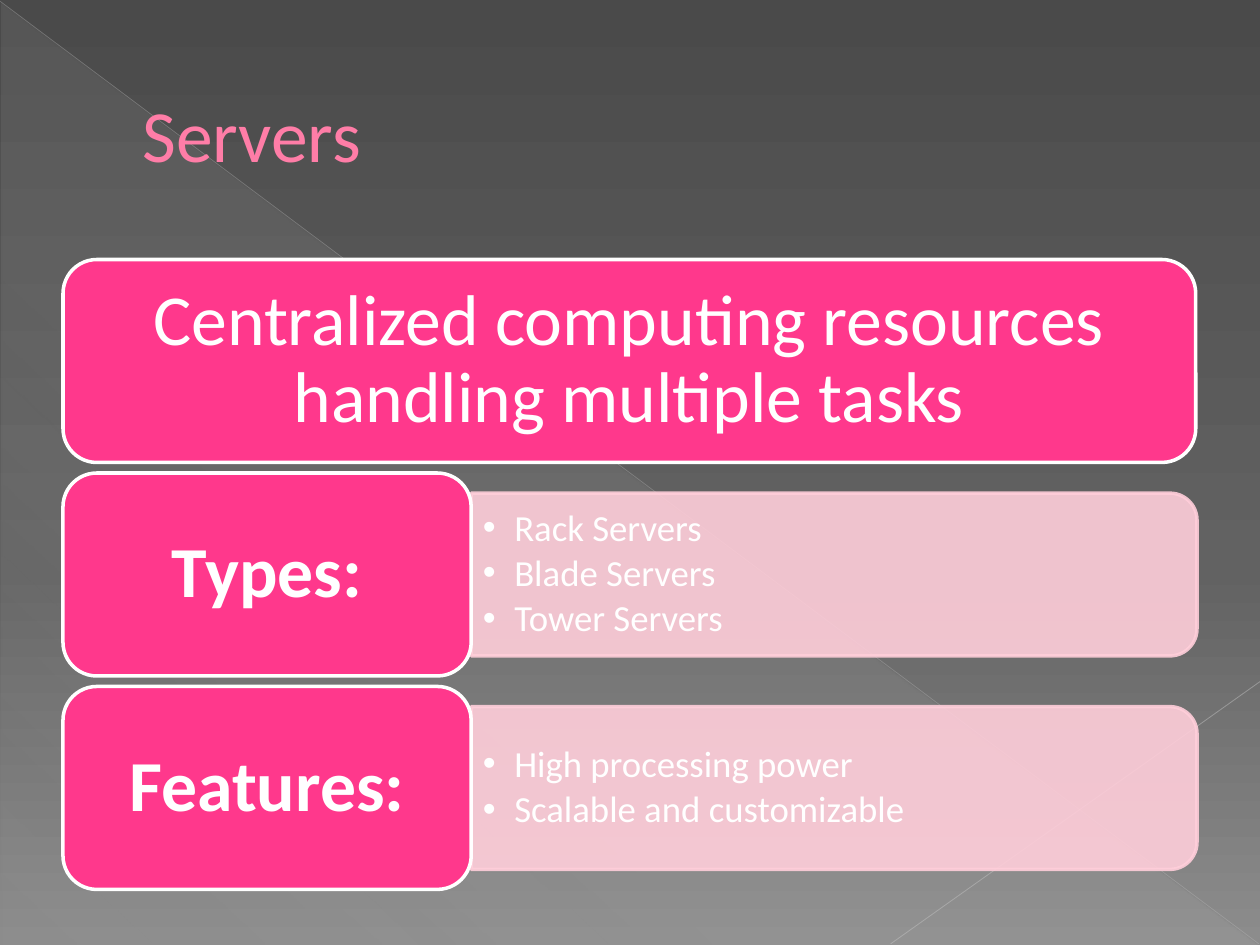
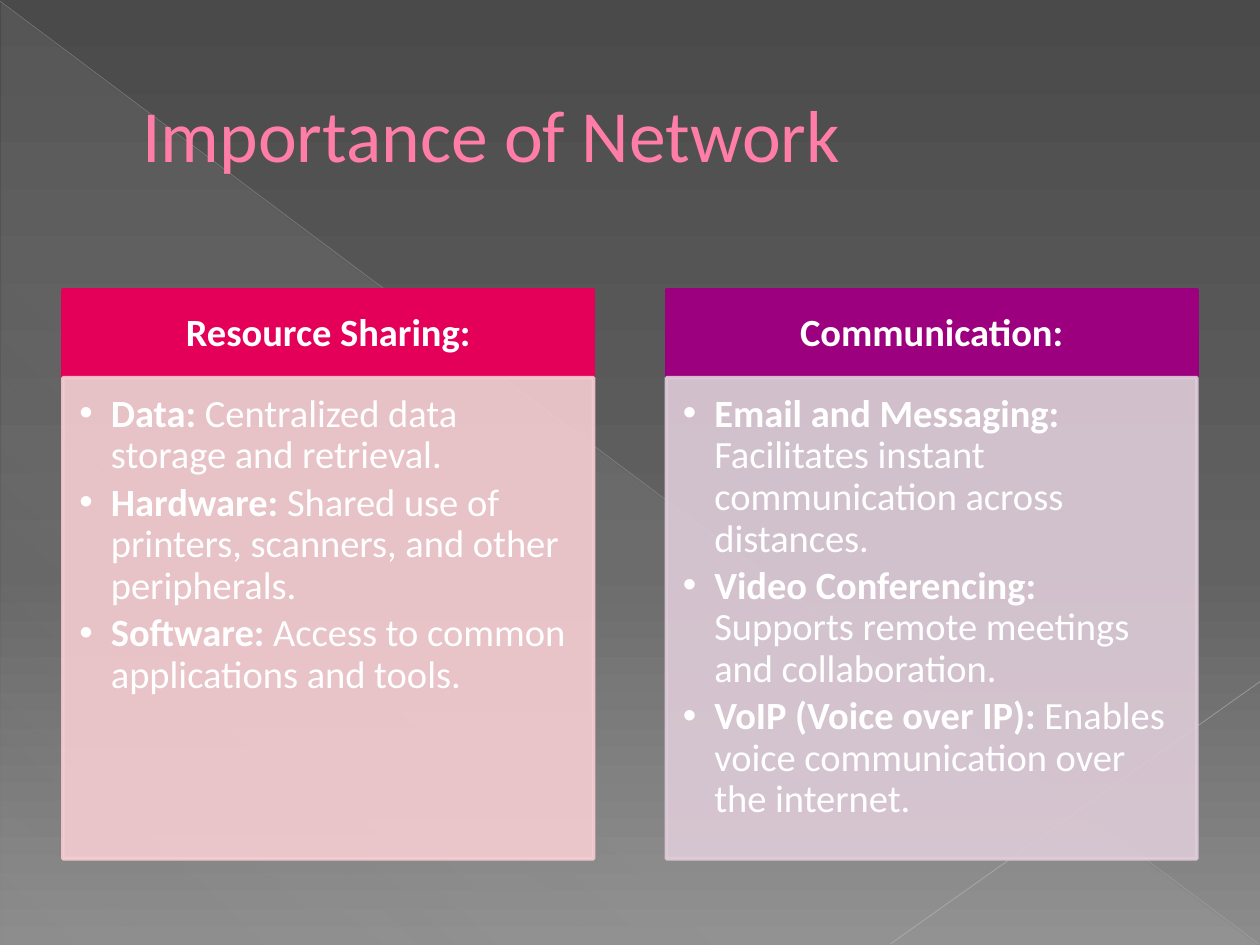
from dataclasses import dataclass

from lxml import etree
from pptx import Presentation
from pptx.dml.color import RGBColor
from pptx.enum.shapes import MSO_CONNECTOR, MSO_SHAPE
from pptx.enum.text import MSO_ANCHOR, PP_ALIGN
from pptx.oxml.ns import qn
from pptx.util import Pt

RECT, PILL = MSO_SHAPE.RECTANGLE, MSO_SHAPE.ROUNDED_RECTANGLE
TAB, WEDGE = MSO_SHAPE.ROUND_2_SAME_RECTANGLE, MSO_SHAPE.RIGHT_TRIANGLE
LINE = MSO_CONNECTOR.STRAIGHT
TOP, MIDDLE = MSO_ANCHOR.TOP, MSO_ANCHOR.MIDDLE
LEFT, CENTER = PP_ALIGN.LEFT, PP_ALIGN.CENTER

SERVERS = {
    "title": "Servers",
    "lead": "Centralized computing resources handling multiple tasks",
    "rows": [
        ("Types:", ["Rack Servers", "Blade Servers", "Tower Servers"]),
        ("Features:", ["High processing power", "Scalable and customizable"]),
    ],
}
NETWORK = {
    "title": "Importance of Network",
    "cols": [
        ("Resource Sharing:", "E40059", "F5CCD1", [
            ("Data:", " Centralized data storage and retrieval."),
            ("Hardware:", " Shared use of printers, scanners, and other peripherals."),
            ("Software:", " Access to common applications and tools."),
        ]),
        ("Communication:", "9C007F", "DECCD8", [
            ("Email and Messaging:", " Facilitates instant communication across distances."),
            ("Video Conferencing:", " Supports remote meetings and collaboration."),
            ("VoIP (Voice over IP):", " Enables voice communication over the internet."),
        ]),
    ],
}


@dataclass(frozen=True)
class Theme:
    font: str = "Calibri"
    title: str = "FF7DA7"
    edge: str = "B12761"
    text: str = "FFFFFF"
    pink: str = "FF388C"
    pale: str = "FFCEDA"
    # Gradient stops: position, colour, opacity (all but colour in percent)
    back: tuple = ((0, "4A4A4A", 100), (60, "626262", 100), (100, "8C8C8C", 100))
    sheen: tuple = ((0, "D2D2D2", 10), (70, "D2D2D2", 8), (100, "D2D2D2", 1))
    # Start, end, colour, width, opacity
    rays: tuple = (
        ((0, 0.7), (719.3, 539.3), "BFBFBF", 0.39, 35),
        ((720, 389.5), (509, 539.3), "C6C6C6", 0.47, 45),
    )
    big: int = 42
    label: int = 41
    item: int = 21
    body: int = 22
    veil: int = 90


T = Theme()
WIDE, HIGH, EDGE = 720, 540, 36


def rgb(code):
    return RGBColor.from_string(code)


def sub(node, tag, **attrs):
    return etree.SubElement(node, qn(tag), {k: str(v) for k, v in attrs.items()})


def fade(part, share):
    """Make every colour of a shape or line share percent opaque."""
    for tone in part.element.spPr.iter(qn("a:srgbClr")):
        sub(tone, "a:alpha", val=share * 1000)


def blend(holder, stops, angle):
    """Swap the solid fill in holder for a linear gradient."""
    grad = etree.Element(qn("a:gradFill"), rotWithShape="1")
    ramp = sub(grad, "a:gsLst")
    for pos, code, share in stops:
        stop = sub(ramp, "a:gs", pos=pos * 1000)
        tone = sub(stop, "a:srgbClr", val=code)
        if share < 100:
            sub(tone, "a:alpha", val=share * 1000)
    sub(grad, "a:lin", ang=angle * 60000, scaled=0)
    holder.replace(holder.find(qn("a:solidFill")), grad)


def add_box(slide, kind, area, fill, edge=None):
    box = slide.shapes.add_shape(kind, *map(Pt, area))
    box.shadow.inherit = False
    box.fill.solid()
    box.fill.fore_color.rgb = rgb(fill)
    if edge:
        box.line.color.rgb = rgb(edge)
        box.line.width = Pt(2)
    else:
        box.line.fill.background()
    return box


def set_frame(box, pads, anchor=MIDDLE):
    frame = box.text_frame
    frame.word_wrap = True
    frame.vertical_anchor = anchor
    (frame.margin_left, frame.margin_top,
     frame.margin_right, frame.margin_bottom) = map(Pt, pads)
    return frame


def add_run(para, text, size, color=T.text, bold=False):
    run = para.add_run()
    run.text = text
    font = run.font
    font.name, font.size, font.bold = T.font, Pt(size), bold
    font.color.rgb = rgb(color)
    return run


def add_head(box, text, size, pads, bold=True):
    para = set_frame(box, pads).paragraphs[0]
    para.alignment = CENTER
    para.line_spacing = 0.9
    add_run(para, text, size, bold=bold)


def add_list(frame, items, size):
    """Fill a frame with bullets; each item is a list of (text, bold)."""
    for i, runs in enumerate(items):
        para = frame.add_paragraph() if i else frame.paragraphs[0]
        props = para._p.get_or_add_pPr()
        props.set("marL", str(Pt(18)))
        props.set("indent", str(-Pt(18)))
        sub(props, "a:buFont", typeface="Arial")
        sub(props, "a:buChar", char="•")
        para.alignment = LEFT
        para.line_spacing = 0.9
        if i:
            para.space_before = Pt(size * 0.15)
        for text, bold in runs:
            add_run(para, text, size, bold=bold)


def add_base(deck, title):
    """Add a slide with the shared background, rays and title."""
    slide = deck.slides.add_slide(deck.slide_layouts[6])
    back = slide.background.fill
    back.solid()
    back.fore_color.rgb = rgb(T.back[0][1])
    blend(slide.element.find(".//" + qn("p:bgPr")), T.back, 90)

    sheen = add_box(slide, WEDGE, (0.7, 1.4, 718.6, 538.6), T.sheen[0][1])
    blend(sheen.element.spPr, T.sheen, 133)
    for start, end, code, width, share in T.rays:
        ray = slide.shapes.add_connector(LINE, *map(Pt, start + end))
        ray.line.color.rgb = rgb(code)
        ray.line.width = Pt(width)
        fade(ray, share)
        sub(ray.element.spPr, "a:effectLst")

    box = slide.shapes.add_textbox(*map(Pt, (EDGE, 21, WIDE - 2 * EDGE, 110)))
    para = set_frame(box, (45.4, 3.6, 7.2, 3.6)).paragraphs[0]
    run = add_run(para, title, T.big, T.title)
    rim = etree.Element(qn("a:ln"), w=str(Pt(0.5)))
    sub(sub(rim, "a:solidFill"), "a:srgbClr", val=T.edge)
    run.font._element.insert(0, rim)
    return slide


def add_servers(deck):
    slide = add_base(deck, SERVERS["title"])
    top, step, high = 148.3, 122, 116
    label, panel, depth = 233.3, 414.7, 93
    pads = (12, 6, 12, 6)
    lead = add_box(slide, PILL, (EDGE, top, 647.3, high), T.pink, T.text)
    add_head(lead, SERVERS["lead"], T.label, pads, bold=False)
    for i, (name, items) in enumerate(SERVERS["rows"], 1):
        y = top + i * step
        left, mid = EDGE + label, y + high / 2
        # Turned a quarter, so width and height trade places about the centre
        area = (left + (panel - depth) / 2, mid - panel / 2, depth, panel)
        tab = add_box(slide, TAB, area, T.pale, T.pale)
        tab.rotation = 90
        fade(tab, T.veil)
        text = slide.shapes.add_textbox(*map(Pt, (left, mid - 42, 410, 84)))
        frame = set_frame(text, (6.6, 3, 6.6, 3))
        add_list(frame, [[(item, False)] for item in items], T.item)
        pill = add_box(slide, PILL, (EDGE, y, label, high), T.pink, T.text)
        add_head(pill, name, T.label, pads)


def add_network(deck):
    slide = add_base(deck, NETWORK["title"])
    top, head, body, wide = 165.8, 50, 275, 303.2
    cols = NETWORK["cols"]
    step = (WIDE - 2 * EDGE - wide) / (len(cols) - 1)
    for i, (name, dark, pale, items) in enumerate(cols):
        x = EDGE + i * step
        bar = add_box(slide, RECT, (x, top, wide, head), dark, dark)
        add_head(bar, name, T.body, (12, 7, 12, 7))
        card = add_box(slide, RECT, (x, top + head, wide, body), pale, pale)
        fade(card, T.veil)
        frame = set_frame(card, (9.4, 9.4, 12.4, 14), TOP)
        add_list(frame, [[(key, True), (text, False)] for key, text in items], T.body)


def main():
    deck = Presentation()
    deck.slide_width, deck.slide_height = Pt(WIDE), Pt(HIGH)
    add_servers(deck)
    add_network(deck)
    deck.save("out.pptx")


if __name__ == "__main__":
    main()
